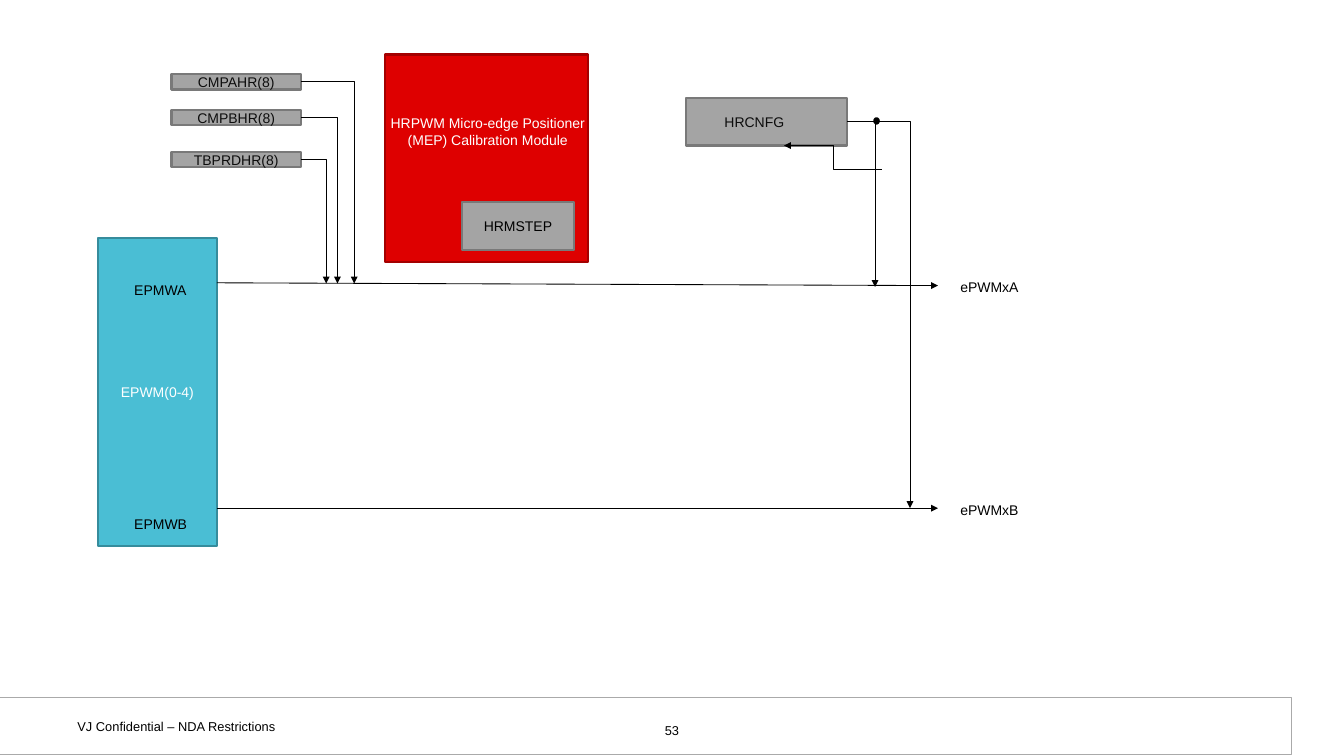
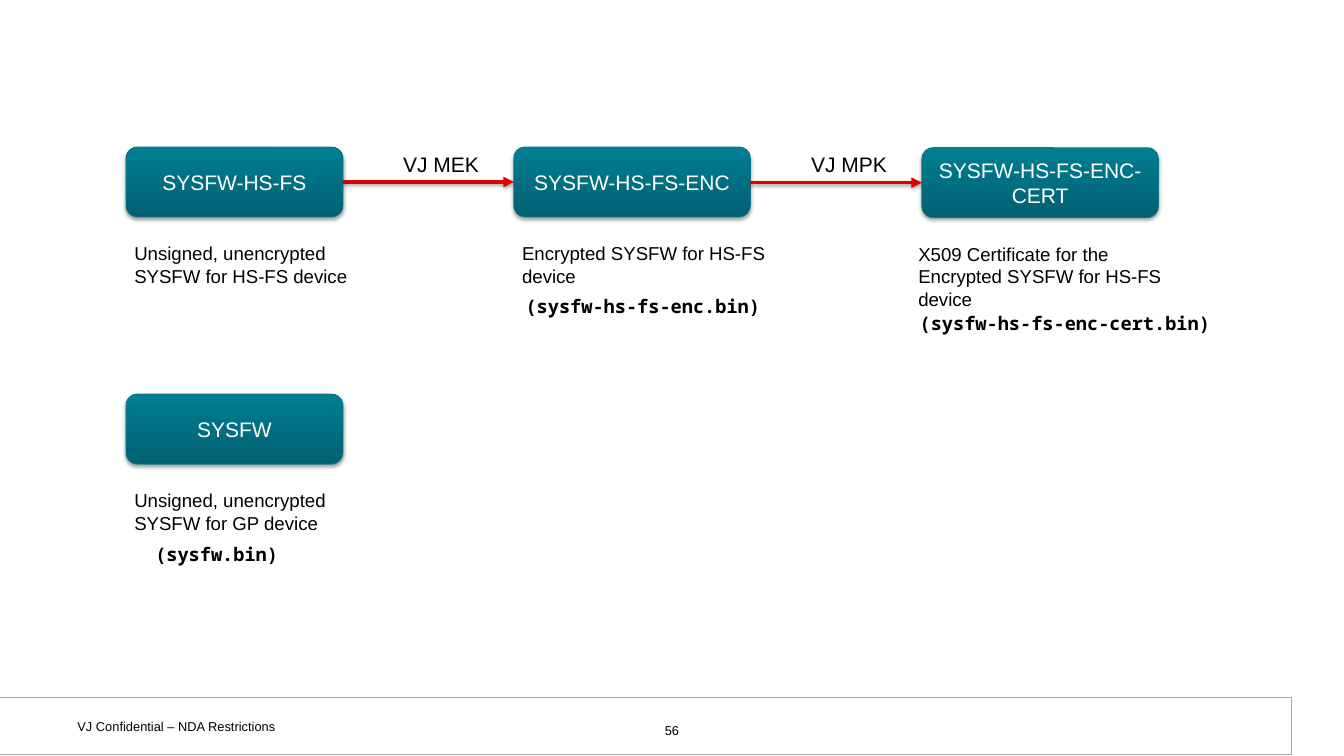
from lxml.etree import SubElement
from pptx import Presentation
from pptx.dml.color import RGBColor
from pptx.enum.shapes import MSO_CONNECTOR, MSO_SHAPE
from pptx.enum.text import MSO_ANCHOR, PP_ALIGN
from pptx.oxml.ns import qn
from pptx.util import Inches, Pt

# Lengths are cells of a grid of 192 columns by 108 rows, 12 to the inch.
COLUMNS, ROWS, CELL = 192, 108, Inches(1) / 12

BLACK, WHITE, RED = "000000", "FFFFFF", "DE0000"
GREY, GREY_EDGE, PANEL_EDGE = "A4A4A4", "797979", "AAAAAA"
CYAN, CYAN_EDGE, RED_EDGE = "4ABED4", "368C9C", "A40000"
TEAL_DARK, TEAL_LIGHT, TEAL_EDGE = "006071", "007F93", "0D7687"
SANS, MONO = "Arial", "Noto Sans Mono"
INSETS = (1.2, 0.6)

FOOTER = "VJ Confidential – NDA Restrictions"

# PWM slide: text, box (left, top, width, height), fill, edge, text colour
MODULES = [
    ("EPWM(0-4)", (14, 34, 17, 44), CYAN, CYAN_EDGE, WHITE),
    ("", (55, 7.8, 29, 29.6), RED, RED_EDGE, WHITE),
    ("HRMSTEP", (66, 28.9, 16, 6.8), GREY, GREY_EDGE, BLACK),
]
CONFIG = ("HRCNFG", (98, 14, 23, 6.8))
CONFIG_INDENT = 5.5
REGISTERS = [  # name, top, column of its wire
    ("CMPAHR(8)", 10.6, 50.6),
    ("CMPBHR(8)", 15.7, 48.2),
    ("TBPRDHR(8)", 21.7, 46.6),
]
REGISTER_LEFT, REGISTER_WIDTH, REGISTER_HEIGHT = 24.5, 18.5, 2.2
CALIBRATION = ("HRPWM Micro-edge Positioner (MEP) Calibration Module",
               (54.2, 15.8, 31, 8.4))
SIGNAL_LABELS = [
    ("EPMWA", (18, 39.6, 13, 4)),
    ("EPMWB", (18, 73.1, 13, 4)),
    ("ePWMxA", (136, 39.2, 15, 3.6)),
    ("ePWMxB", (136, 71, 15, 3.6)),
]
SIGNAL_START, SIGNAL_END = 31, 134
SIGNAL_ROWS = [(40.4, 40.8), (72.6, 72.6)]
CONFIG_WIRES = [(125, 41), (130, 72.6)]
JUNCTION = (124.92, 16.92, 0.6, 0.72)
FEEDBACK = ((126, 24.2), (112, 20.8))

# Firmware slide: name, box, caption, caption left and width, file name, its place
STAGES = [
    ("SYSFW-HS-FS", (18, 21, 31, 10),
     "Unsigned, unencrypted SYSFW for HS-FS device", (18, 34), None, None),
    ("SYSFW-HS-FS-ENC", (73.4, 21, 33.8, 10),
     "Encrypted SYSFW for HS-FS device", (73.4, 37.6),
     "(sysfw-hs-fs-enc.bin)", (73.9, 41.6)),
    ("SYSFW-HS-FS-ENC-CERT", (131.7, 21.1, 33.8, 10),
     "X509 Certificate for the Encrypted SYSFW for HS-FS device", (130, 37.6),
     "(sysfw-hs-fs-enc-cert.bin)", (130.2, 43.9)),
    ("SYSFW", (18, 56.3, 31, 10),
     "Unsigned, unencrypted SYSFW for GP device", (18, 34),
     "(sysfw.bin)", (21, 77)),
]
KEYS = ["VJ MEK", "VJ MPK"]
CAPTION_DROP, CAPTION_HEIGHT = 13, 7.6
FILE_WIDTH, FILE_HEIGHT = 44.8, 4.3
KEY_WIDTH, KEY_HEIGHT = 17, 4.8


def cells(*counts):
    return [round(count * CELL) for count in counts]


def color(hex_string):
    return RGBColor.from_string(hex_string)


def write(shape, text, size, ink, font=SANS, bold=False,
          align=PP_ALIGN.LEFT, anchor=MSO_ANCHOR.TOP, insets=INSETS):
    frame = shape.text_frame
    frame.word_wrap = True
    frame.vertical_anchor = anchor
    frame.margin_left = frame.margin_right = cells(insets[0])[0]
    frame.margin_top = frame.margin_bottom = cells(insets[1])[0]
    paragraph = frame.paragraphs[0]
    paragraph.alignment = align
    run = paragraph.add_run()
    run.text = text
    run.font.name, run.font.size, run.font.bold = font, Pt(size), bold
    run.font.color.rgb = color(ink)


def add_label(slide, box, text, size, ink=BLACK, **style):
    write(slide.shapes.add_textbox(*cells(*box)), text, size, ink, **style)


def add_block(slide, box, fill, edge, width=2, kind=MSO_SHAPE.RECTANGLE):
    block = slide.shapes.add_shape(kind, *cells(*box))
    block.shadow.inherit = False
    block.fill.solid()
    block.fill.fore_color.rgb = color(fill)
    block.line.color.rgb = color(edge)
    block.line.width = Pt(width)
    return block


def write_centred(block, text, size, ink, insets=INSETS):
    write(block, text, size, ink, align=PP_ALIGN.CENTER,
          anchor=MSO_ANCHOR.MIDDLE, insets=insets)


def add_soft_shadow(effects):
    shadow = SubElement(effects, qn("a:outerShdw"), blurRad=str(Pt(3.1)),
                        dist=str(Pt(1.8)), dir="5400000", rotWithShape="0")
    black = SubElement(shadow, qn("a:srgbClr"), val=BLACK)
    SubElement(black, qn("a:alpha"), val="35000")


def add_arrow(slide, start, end, ink=BLACK, width=0.75,
              kind=MSO_CONNECTOR.STRAIGHT, one_bend=False):
    """Draw an arrow and return its effect list."""
    arrow = slide.shapes.add_connector(kind, *cells(*start, *end))
    arrow.line.color.rgb = color(ink)
    arrow.line.width = Pt(width)
    properties = arrow._element.spPr
    if one_bend:
        properties.find(qn("a:prstGeom")).set("prst", "bentConnector2")
    SubElement(properties.find(qn("a:ln")), qn("a:tailEnd"), type="triangle")
    return SubElement(properties, qn("a:effectLst"))


def add_corner_arrow(slide, start, end):
    add_arrow(slide, start, end, kind=MSO_CONNECTOR.ELBOW, one_bend=True)


def add_page(deck, number):
    slide = deck.slides.add_slide(deck.slide_layouts[6])
    add_block(slide, (-0.36, 99.6, 184.8, 8.16), WHITE, PANEL_EDGE, 0.75)
    insets = (1.56, 0.84)
    add_label(slide, (9.5, 101.76, 44.3, 3.84), FOOTER, 11, insets=insets)
    add_label(slide, (73.6, 102.36, 44.8, 3.24), str(number), 11,
              align=PP_ALIGN.CENTER, insets=insets)
    return slide


def build_pwm_slide(deck):
    slide = add_page(deck, 53)
    for text, box, fill, edge, ink in MODULES:
        block = add_block(slide, box, fill, edge)
        if text:
            write_centred(block, text, 12, ink)
    text, box = CALIBRATION
    add_label(slide, box, text, 12, WHITE, align=PP_ALIGN.CENTER)

    text, box = CONFIG
    config = add_block(slide, box, GREY, GREY_EDGE)
    write(config, text, 12, "0D0D0D", anchor=MSO_ANCHOR.MIDDLE,
          insets=(CONFIG_INDENT, 0.6))
    left, top, width, height = box
    for end in CONFIG_WIRES:
        add_corner_arrow(slide, (left + width, top + height / 2), end)
    add_arrow(slide, *FEEDBACK, kind=MSO_CONNECTOR.ELBOW)
    add_block(slide, JUNCTION, BLACK, BLACK, kind=MSO_SHAPE.OVAL)

    for start_row, end_row in SIGNAL_ROWS:
        add_arrow(slide, (SIGNAL_START, start_row), (SIGNAL_END, end_row))
    for text, top, wire in REGISTERS:
        box = (REGISTER_LEFT, top, REGISTER_WIDTH, REGISTER_HEIGHT)
        register = add_block(slide, box, GREY, GREY_EDGE)
        write_centred(register, text, 12, "0D0D0D", insets=(1.2, 0))
        add_corner_arrow(slide, (REGISTER_LEFT + REGISTER_WIDTH,
                                 top + REGISTER_HEIGHT / 2), (wire, 40.5))
    for text, box in SIGNAL_LABELS:
        add_label(slide, box, text, 12)


def add_stage(slide, name, box):
    stage = add_block(slide, box, TEAL_DARK, TEAL_EDGE, 0.75,
                      MSO_SHAPE.ROUNDED_RECTANGLE)
    stage.fill.gradient()
    stage.fill.gradient_angle = 90
    for stop, shade in zip(stage.fill.gradient_stops, (TEAL_DARK, TEAL_LIGHT)):
        stop.color.rgb = color(shade)
    add_soft_shadow(stage._element.spPr.find(qn("a:effectLst")))
    write_centred(stage, name, 18, WHITE)


def build_firmware_slide(deck):
    slide = add_page(deck, 56)
    for name, box, caption, (left, width), file_name, place in STAGES:
        add_stage(slide, name, box)
        add_label(slide, (left, box[1] + CAPTION_DROP, width, CAPTION_HEIGHT),
                  caption, 16)
        if file_name:
            add_label(slide, (*place, FILE_WIDTH, FILE_HEIGHT), file_name, 16,
                      font=MONO, bold=True)
    for key, source, target in zip(KEYS, STAGES, STAGES[1:]):
        left, top, width, height = source[1]
        end, key_top = target[1][:2]
        row = key_top + height / 2
        add_soft_shadow(add_arrow(slide, (left + width, row), (end, row), RED, 3))
        add_label(slide, (end - KEY_WIDTH, key_top, KEY_WIDTH, KEY_HEIGHT), key, 18)


def main():
    deck = Presentation()
    deck.slide_width, deck.slide_height = cells(COLUMNS, ROWS)
    build_pwm_slide(deck)
    build_firmware_slide(deck)
    deck.save("out.pptx")


if __name__ == "__main__":
    main()
